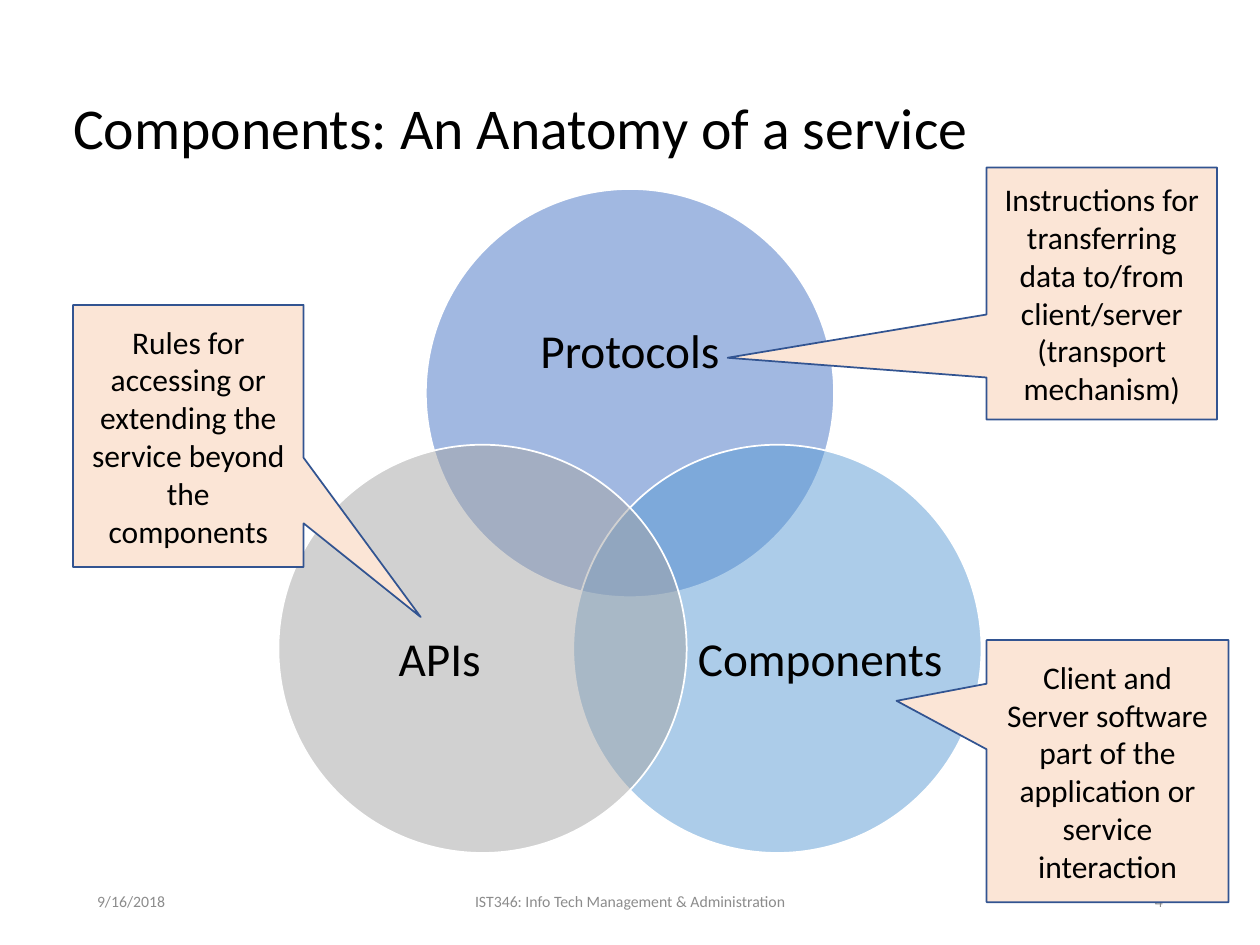
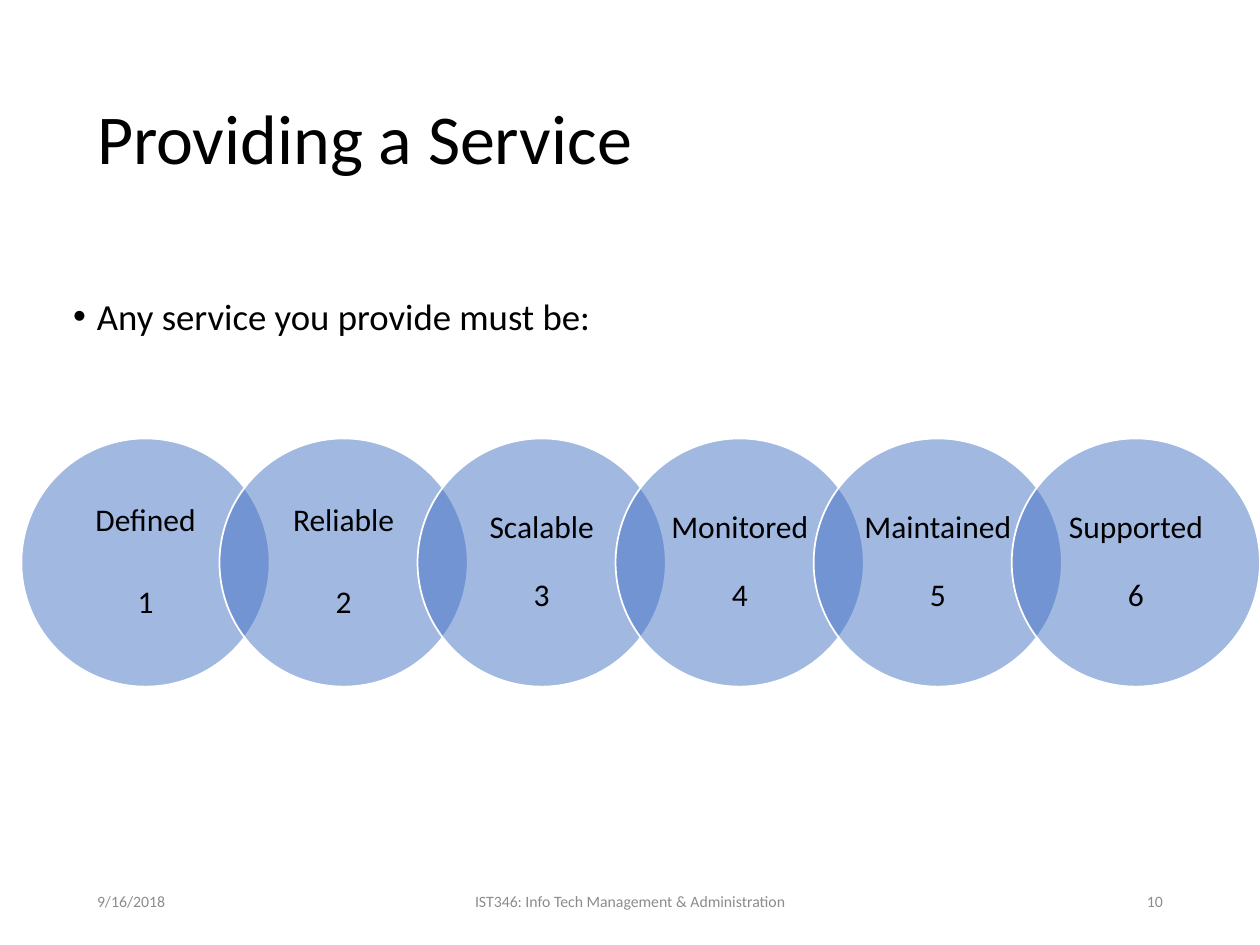
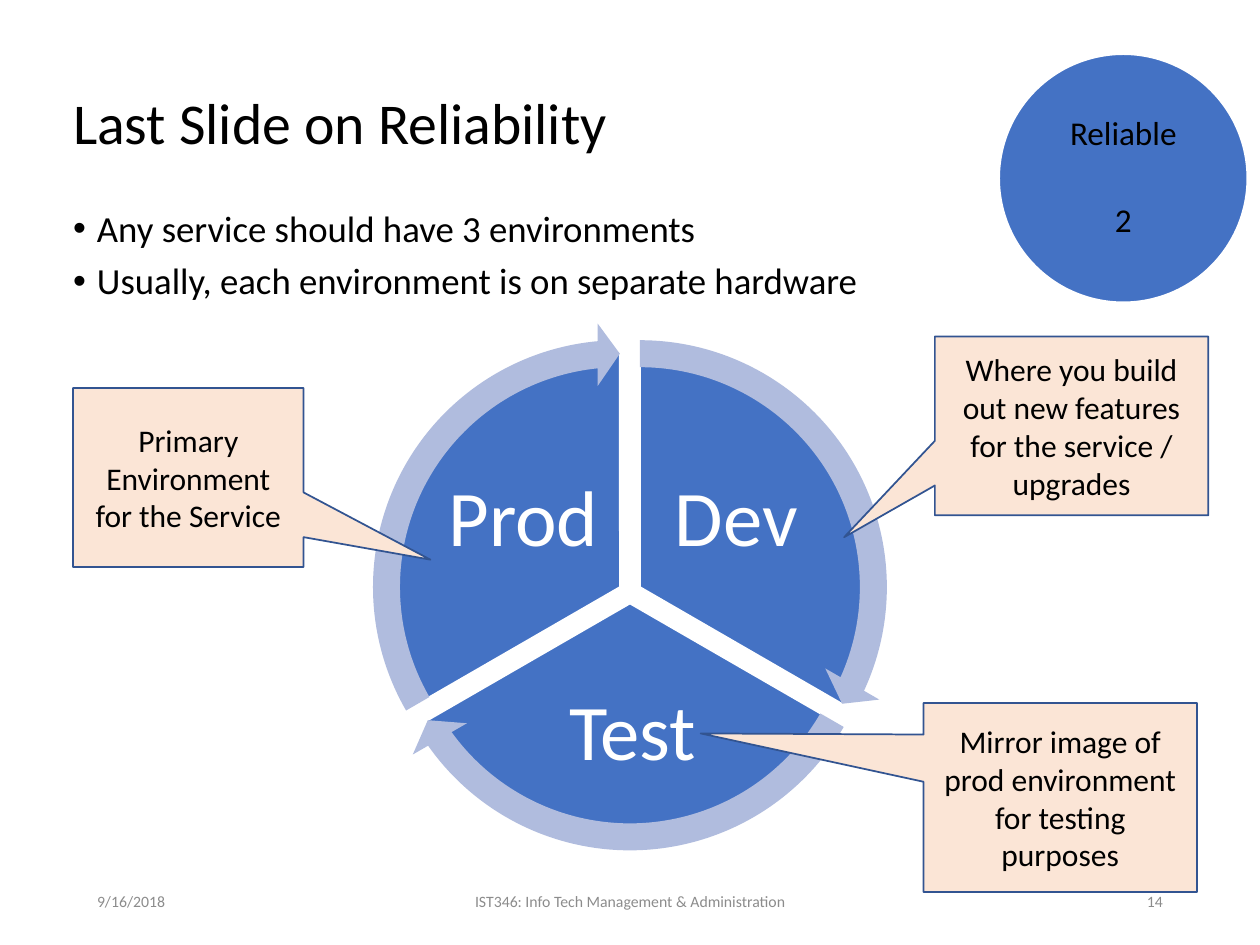
"""Builds three slides on the anatomy and reliability of a service."""
from lxml import etree
from pptx import Presentation
from pptx import util as u
from pptx.dml.color import RGBColor
from pptx.enum import shapes, text
from pptx.oxml.ns import qn

COLORS = {
    "text": "000000", "white": "FFFFFF", "muted": "8C8C8C", "blue": "4472C4",
    "sky": "5B9BD5", "gray": "A5A5A5", "peach": "FBE5D6", "navy": "325491",
    "arrow": "B0BCDE",
}
FONT = "Calibri"
LEFT, CENTER, RIGHT = text.PP_ALIGN.LEFT, text.PP_ALIGN.CENTER, text.PP_ALIGN.RIGHT
SHAPE = shapes.MSO_SHAPE
CIRCLE = 1.97
DEGREE = 0.6


def rgb(name):
    return RGBColor.from_string(COLORS[name])


class Deck:
    """Holds the shared style and the current slide."""

    def __init__(self):
        self.prs = Presentation()
        self.prs.slide_width, self.prs.slide_height = u.Inches(10), u.Inches(7.5)
        self.s = None

    def slide(self, title, at, size, number):
        self.s = self.prs.slides.add_slide(self.prs.slide_layouts[5])
        sp = self.s.shapes.title
        sp.left, sp.top, sp.width, sp.height = map(u.Inches, at)
        self.set_text(sp, [title], size, align=LEFT, spacing=0.9)
        self.footer(number)

    def set_text(self, sp, lines, size, color="text", align=CENTER, spacing=1.0,
                 gap=0, inset=(0.08, 0.04), anchor=text.MSO_ANCHOR.MIDDLE,
                 wrap=True, bullet=False):
        tf = sp.text_frame
        tf.word_wrap, tf.auto_size = wrap, text.MSO_AUTO_SIZE.NONE
        tf.vertical_anchor = anchor
        tf.margin_left = tf.margin_right = u.Inches(inset[0])
        tf.margin_top = tf.margin_bottom = u.Inches(inset[1])
        for i, line in enumerate(lines):
            p = tf.add_paragraph() if i else tf.paragraphs[0]
            if bullet:
                pPr = p._p.get_or_add_pPr()
                pPr.set("marL", str(u.Inches(0.19)))
                pPr.set("indent", str(u.Inches(-0.19)))
                etree.SubElement(pPr, qn("a:buFont")).set("typeface", "Arial")
                etree.SubElement(pPr, qn("a:buChar")).set("char", "•")
            p.alignment, p.line_spacing = align, spacing
            if i and gap:
                p.space_before = u.Pt(gap)
            r = p.add_run()
            r.text = line
            r.font.name, r.font.size = FONT, u.Pt(size)
            r.font.color.rgb = rgb(color)

    def textbox(self, lines, at, size, **style):
        sp = self.s.shapes.add_textbox(*map(u.Inches, at))
        self.set_text(sp, lines, size, **style)

    def footer(self, number):
        for words, left, width, align in (
                ("9/16/2018", 0.69, 2.25, LEFT),
                ("IST346: Info Tech Management & Administration", 3.31, 3.38, CENTER),
                (number, 7.06, 2.25, RIGHT)):
            self.textbox([words], (left, 6.95, width, 0.4), 9, color="muted", align=align)

    def bullets(self, lines, top, height):
        self.textbox(lines, (0.5, top, 9, height), 21, align=LEFT, spacing=0.9,
                     gap=7.5, anchor=text.MSO_ANCHOR.TOP, bullet=True)

    def label(self, lines, at, size, **style):
        self.textbox(lines, at, size, spacing=0.9, inset=(0, 0), wrap=False, **style)

    def shape(self, kind, at, fill, line=None, adjust=()):
        sp = self.s.shapes.add_shape(kind, *map(u.Inches, at))
        sp.shadow.inherit = False
        for i, value in enumerate(adjust):
            sp.adjustments[i] = value
        sp.fill.solid()
        sp.fill.fore_color.rgb = rgb(fill)
        if line:
            sp.line.color.rgb, sp.line.width = rgb(line), u.Pt(1)
        else:
            sp.line.fill.background()
        return sp

    def centered(self, kind, center, size, fill, line=None, adjust=()):
        x, y = center
        at = (x - size / 2, y - size / 2, size, size)
        return self.shape(kind, at, fill, line, adjust)

    def circle(self, left, top, size, fill, alpha=50):
        sp = self.shape(SHAPE.OVAL, (left, top, size, size), fill, "white")
        color = sp._element.spPr.find(qn("a:solidFill"))[0]
        etree.SubElement(color, qn("a:alpha")).set("val", str(alpha * 1000))

    def badge(self, lines, left, top, size, gap, alpha=50):
        self.circle(left, top, CIRCLE, "blue", alpha)
        self.label(lines, (left + 0.29, top + 0.29, 1.39, 1.39), size, gap=gap)

    def callout(self, words, at, tip):
        sp = self.shape(SHAPE.RECTANGULAR_CALLOUT, at, "peach", "navy", tip)
        self.set_text(sp, [words], 18, inset=(0.1, 0.05))


def anatomy(deck):
    deck.slide("Components: An Anatomy of a service", (0.5, 0.58, 9, 0.92), 33, "4")
    for name, left, top, fill, label_at in (
            ("Protocols", 3.38, 1.5, "blue", (3.81, 2.07, 2.38, 1.46)),
            ("Components", 4.55, 3.53, "sky", (5.54, 4.36, 1.94, 1.78)),
            ("APIs", 2.21, 3.53, "gray", (2.52, 4.36, 1.94, 1.78))):
        deck.circle(left, top, 3.24, fill)
        deck.label([name], label_at, 27)
    deck.callout("Instructions for transferring data to/from client/server (transport mechanism)",
                 (7.83, 1.33, 1.83, 2), (-1.623, 0.255))
    deck.callout("Client and Server software part of the application or service interaction",
                 (7.83, 5.08, 1.92, 2.08), (-0.872, -0.268))
    deck.callout("Rules for accessing or extending the service beyond the components",
                 (0.58, 2.42, 1.83, 2.08), (1.008, 0.691))


def providing(deck):
    deck.slide("Providing a Service", (0.69, 0.4, 8.62, 1.45), 40, "10")
    deck.bullets(["Any service you provide must be:"], 2.33, 0.67)
    names = ("Defined", "Reliable", "Scalable", "Monitored", "Maintained", "Supported")
    for i, name in enumerate(names):
        deck.badge([name, str(i + 1)], 0.17 + 1.572 * i, 3.48, 18, 27.5 if i < 2 else 19.5)


def reliability(deck):
    deck.slide("Last Slide on Reliability", (0.5, 0.58, 9, 0.84), 33, "14")
    deck.bullets(["Any service should have 3 environments",
                  "Usually, each environment is on separate hardware"], 1.63, 3.04)
    environments = (
        ("Dev", (5.08, 4.66), (5.18, 3.58, 1.33, 1.11)),
        ("Test", (5, 4.79), (4.02, 5.34, 2, 0.98)),
        ("Prod", (4.92, 4.66), (3.49, 3.58, 1.33, 1.11)))
    starts = [(270 + 120 * i) % 360 for i in range(3)]
    for (name, center, label_at), start in zip(environments, starts):
        end = (start + 120) % 360
        deck.centered(SHAPE.PIE, center, 3.73, "blue", "white",
                      (start * DEGREE, end * DEGREE))
        deck.label([name], label_at, 45, color="white")
    for (_, center, _), start in zip(environments, starts):
        tip = (start + 114.54) % 360
        deck.centered(SHAPE.CIRCULAR_ARROW, center, 4.2, "arrow",
                      adjust=(0.051, 3.275, tip * DEGREE, start * DEGREE, 0.059))
    deck.callout("Primary Environment for the Service",
                 (0.58, 3.08, 1.83, 1.42), (1.05, 0.459))
    deck.callout("Where you build out new features for the service / upgrades",
                 (7.42, 2.67, 2.17, 1.42), (-0.832, 0.622))
    deck.callout("Mirror image of prod environment for testing purposes",
                 (7.33, 5.58, 2.17, 1.5), (-1.315, -0.339))
    deck.badge(["Reliable", "2"], 7.93, 0.43, 19, 29, alpha=100)


def main():
    deck = Deck()
    for build in (anatomy, providing, reliability):
        build(deck)
    deck.prs.save("out.pptx")


if __name__ == "__main__":
    main()
